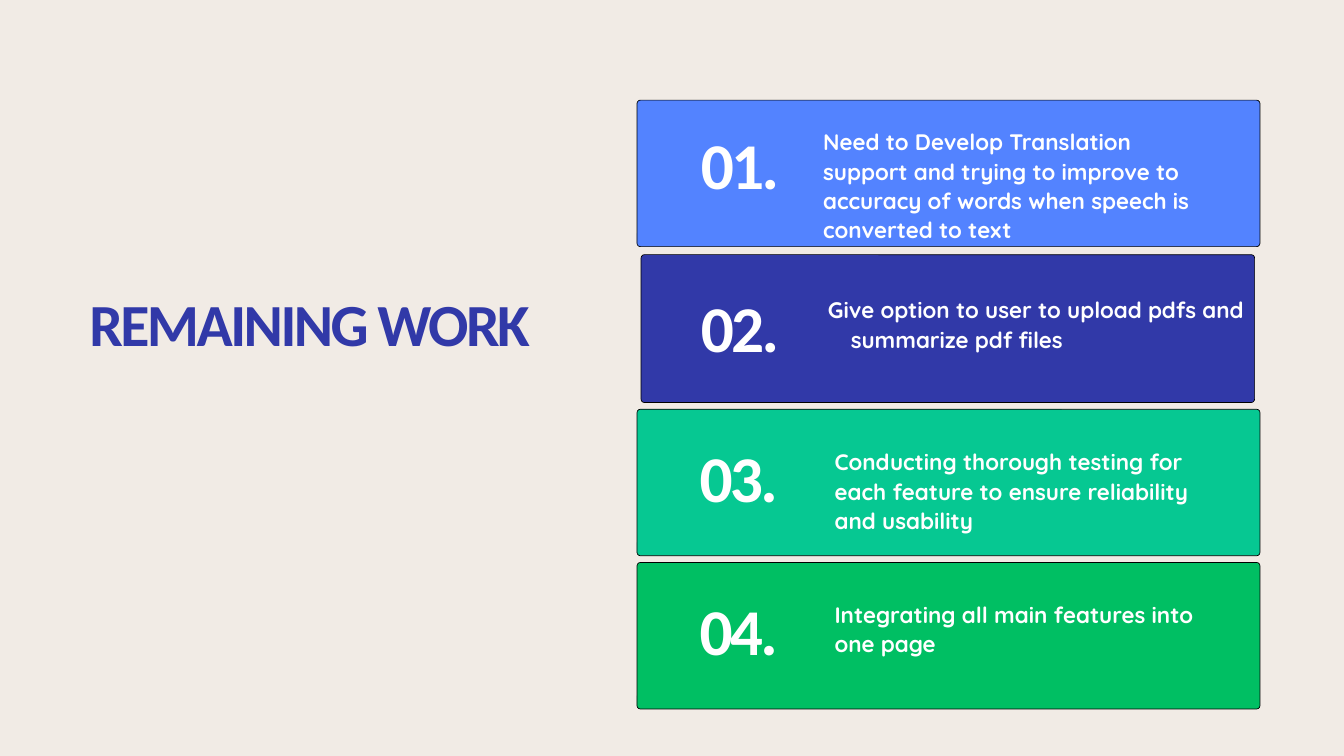
from pptx import Presentation
from pptx.dml.color import RGBColor
from pptx.enum import shapes, text
from pptx.util import Inches, Pt

COLORS = {
    "background": "F1EBE5", "title": "3139A8", "text": "FFFFFF", "outline": "000000",
    "blue": "5383FF", "indigo": "3139A8", "teal": "06C892", "green": "00BF63",
}
TITLE = "REMAINING WORK"
# colour, card box, number position, text box, hanging indent, text
TASKS = [
    ("blue", (9.48, 1.49, 9.27, 2.18), (10.43, 1.95), (12.25, 1.88, 5.77, 1.72), 0,
     "Need to Develop Translation support and trying to improve to accuracy of words "
     "when speech is converted to text"),
    ("indigo", (9.54, 3.79, 9.13, 2.2), (10.43, 4.38), (12.32, 4.38, 6.35, 0.86), 0.34,
     "Give option to user to upload pdfs and summarize pdf files"),
    ("teal", (9.48, 6.09, 9.27, 2.18), (10.41, 6.61), (12.42, 6.64, 5.77, 1.29), 0,
     "Conducting thorough testing for each feature to ensure reliability and usability"),
    ("green", (9.48, 8.37, 9.27, 2.18), (10.41, 8.89), (12.42, 8.91, 5.77, 0.86), 0,
     "Integrating all main features into one page"),
]
NUMBER_SIZE = (1.56, 1.09)
CORNER = 0.05


def rgb(name):
    return RGBColor.from_string(COLORS[name])


def add_card(slide, box, color):
    sp = slide.shapes.add_shape(shapes.MSO_SHAPE.ROUNDED_RECTANGLE, *map(Inches, box))
    sp.adjustments[0] = CORNER / box[3]
    sp.shadow.inherit = False
    sp.fill.solid()
    sp.fill.fore_color.rgb = rgb(color)
    sp.line.color.rgb = rgb("outline")
    sp.line.width = Pt(0.75)


def add_text(slide, box, content, font, size, leading, color="text", tracking=0, hanging=0):
    """Add a bold text box; leading and tracking are in points, hanging in inches."""
    tf = slide.shapes.add_textbox(*map(Inches, box)).text_frame
    tf.word_wrap = True
    tf.auto_size = text.MSO_AUTO_SIZE.NONE
    tf.margin_left = tf.margin_right = tf.margin_top = tf.margin_bottom = 0
    p = tf.paragraphs[0]
    p.line_spacing = Pt(leading)
    if hanging:
        pPr = p._p.get_or_add_pPr()
        pPr.set("marL", str(Inches(hanging)))
        pPr.set("indent", str(-Inches(hanging)))
    r = p.add_run()
    r.text = content
    r.font.name = font
    r.font.size = Pt(size)
    r.font.bold = True
    r.font.color.rgb = rgb(color)
    if tracking:
        r._r.get_or_add_rPr().set("spc", str(round(tracking * 100)))


def main():
    prs = Presentation()
    prs.slide_width, prs.slide_height = Inches(20), Inches(11.25)
    s = prs.slides.add_slide(prs.slide_layouts[6])
    s.background.fill.solid()
    s.background.fill.fore_color.rgb = rgb("background")

    add_text(s, (1.33, 4.36, 8.67, 0.99), TITLE, "Calibri", 64, 69.8, "title", -2.7)
    for i, (color, card, number_at, text_box, hanging, content) in enumerate(TASKS, 1):
        add_card(s, card, color)
        add_text(s, number_at + NUMBER_SIZE, f"{i:02}.", "Calibri", 70, 76.3, tracking=-2.9)
        add_text(s, text_box, content, "Quicksand", 24, 31.2, hanging=hanging)
    prs.save("out.pptx")


if __name__ == "__main__":
    main()
